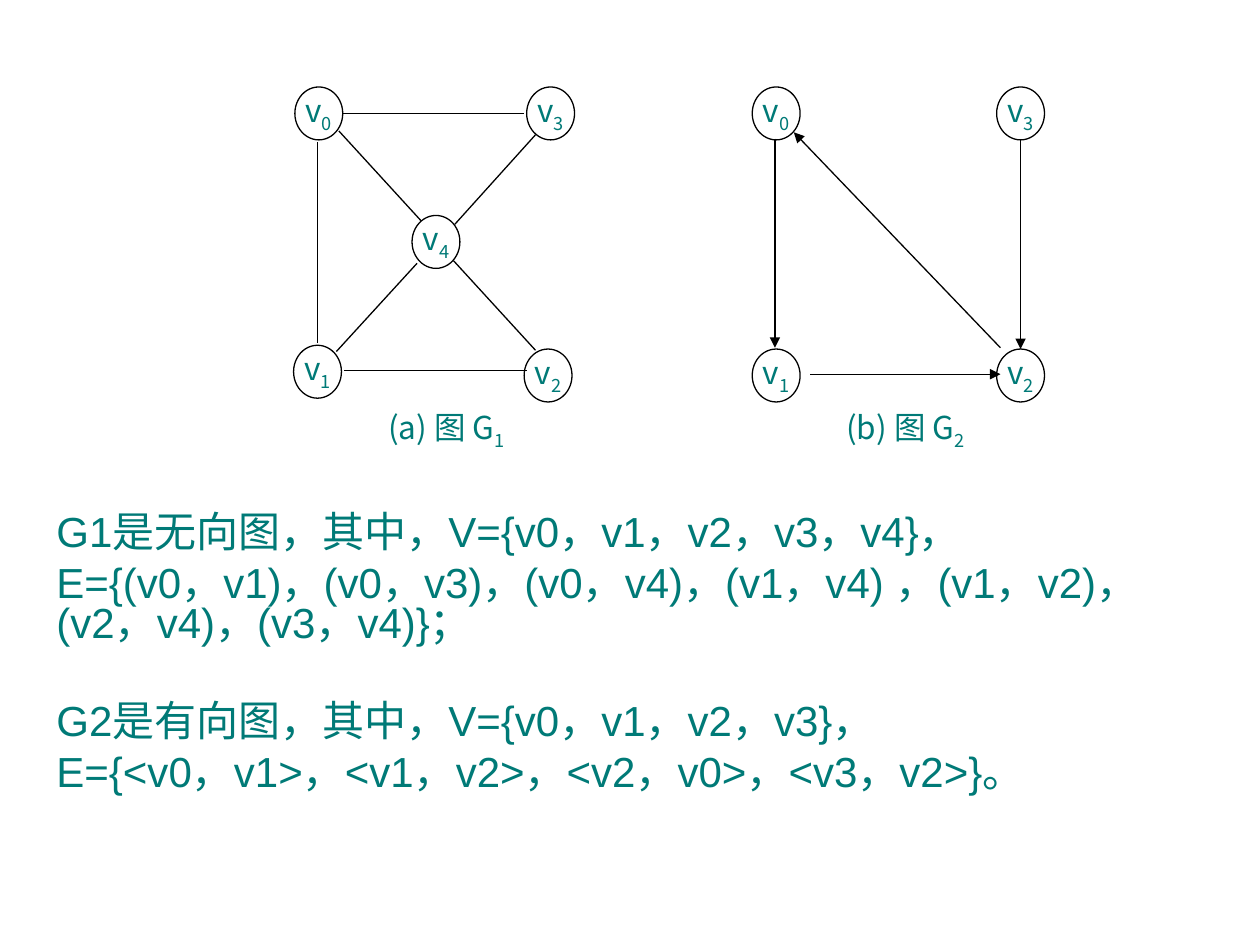
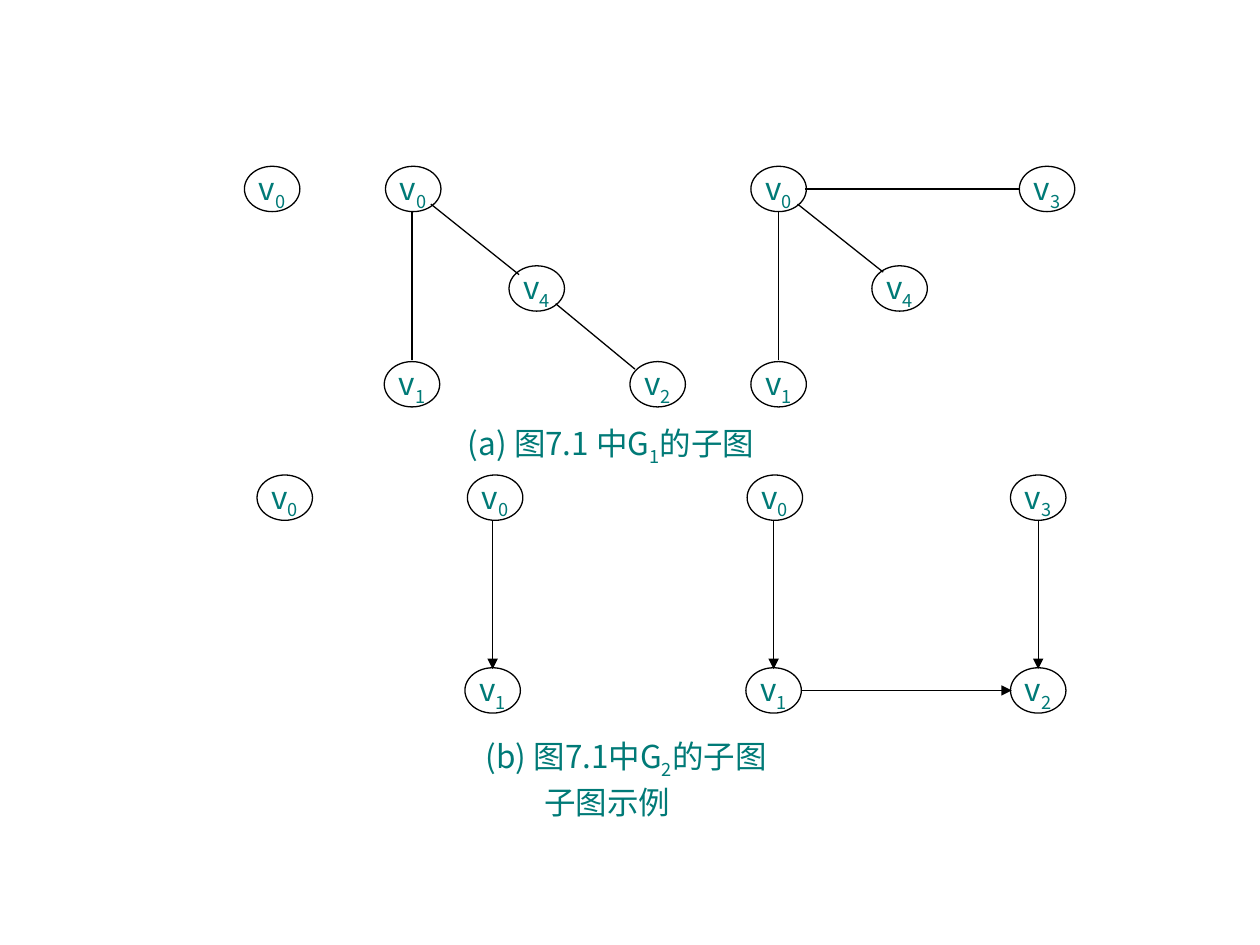
from lxml import etree
from pptx import Presentation
from pptx.dml.color import RGBColor
from pptx.enum import shapes, text
from pptx.oxml import ns
from pptx.util import Inches, Pt

TEAL = RGBColor(0x00, 0x7A, 0x77)
BLACK = RGBColor(0x00, 0x00, 0x00)
WHITE = RGBColor(0xFF, 0xFF, 0xFF)
LABEL_FONT = "Noto Sans CJK SC"
BODY_FONT = "Arial"


class GraphDeck:
    def __init__(self):
        self.deck = Presentation()
        self.deck.slide_width = Inches(10)
        self.deck.slide_height = Inches(7.5)
        self.page = None

    def new_page(self, node_width, node_height):
        self.page = self.deck.slides.add_slide(self.deck.slide_layouts[6])
        self.node_size = node_width, node_height

    def style(self, para, font, size, spacing):
        para.line_spacing = spacing
        para.font.name = font
        para.font.size = Pt(size)
        para.font.color.rgb = TEAL

    def label(self, kind, place, parts, line, spacing=0.8):
        box = self.page.shapes.add_shape(kind, *map(Inches, place))
        box.shadow.inherit = False
        box.fill.solid()
        box.fill.fore_color.rgb = WHITE
        box.line.color.rgb = line
        box.line.width = Pt(0.75)
        frame = box.text_frame
        frame.margin_left = frame.margin_right = 0
        frame.margin_top = frame.margin_bottom = 0
        frame.vertical_anchor = text.MSO_ANCHOR.TOP
        frame.word_wrap = kind == shapes.MSO_SHAPE.RECTANGLE
        para = frame.paragraphs[0]
        para.alignment = text.PP_ALIGN.CENTER
        self.style(para, LABEL_FONT, 18, spacing)
        for index, part in enumerate(parts):
            span = para.add_run()
            span.text = part
            if index == 1:
                span.font._element.set("baseline", "-25000")

    def nodes(self, places):
        for number, left, top in places:
            self.label(shapes.MSO_SHAPE.OVAL, (left, top, *self.node_size),
                       ("v", str(number)), BLACK)

    def caption(self, place, *parts, spacing=0.8):
        self.label(shapes.MSO_SHAPE.RECTANGLE, place, parts, WHITE, spacing)

    def edges(self, ends, directed=False):
        for place in ends:
            edge = self.page.shapes.add_connector(
                shapes.MSO_CONNECTOR.STRAIGHT, *map(Inches, place))
            edge.line.color.rgb = BLACK
            edge.line.width = Pt(0.75)
            if directed:
                line = edge.line._get_or_add_ln()
                etree.SubElement(line, ns.qn("a:tailEnd"), type="triangle")
            etree.SubElement(edge._element.spPr, ns.qn("a:effectLst"))

    def body(self, place, lines):
        box = self.page.shapes.add_textbox(*map(Inches, place))
        frame = box.text_frame
        frame.word_wrap = True
        for index, (gap, words) in enumerate(lines):
            para = frame.add_paragraph() if index else frame.paragraphs[0]
            para.text = words
            para.space_before = Pt(gap)
            self.style(para, BODY_FONT, 24, 0.8)

    def graphs_page(self):
        self.new_page(0.38, 0.42)
        self.body((0.35, 4.04, 9.34, 2.64), [
            (0, "G1是无向图，其中，V={v0，v1，v2，v3，v4}，"),
            (6, "E={(v0，v1)，(v0，v3)，(v0，v4)，(v1，v4) ，"
                "(v1，v2)，(v2，v4)，(v3，v4)}；"),
            (33, "G2是有向图，其中，V={v0，v1，v2，v3}，"),
            (6, "E={<v0，v1>，<v1，v2>，<v2，v0>，<v3，v2>}。"),
        ])
        self.caption((2.58, 3.24, 1.93, 0.59), "(a) 图 G", "1", spacing=1.0)
        self.caption((6.22, 3.24, 1.93, 0.59), "(b) 图 G", "2", spacing=1.0)
        self.nodes([(0, 2.34, 0.69), (3, 4.18, 0.69), (4, 3.27, 1.71),
                    (1, 2.33, 2.74), (2, 4.16, 2.77)])
        self.edges([(2.72, 0.9, 4.16, 0.9), (2.52, 1.13, 2.52, 2.72),
                    (4.25, 1.07, 3.61, 1.78), (3.6, 2.07, 4.25, 2.78),
                    (2.73, 2.94, 4.18, 2.94), (3.31, 2.09, 2.67, 2.79),
                    (2.69, 1.04, 3.34, 1.75)])
        self.nodes([(0, 5.97, 0.69), (3, 7.91, 0.69),
                    (1, 5.97, 2.77), (2, 7.91, 2.77)])
        self.edges([(6.43, 2.97, 7.94, 2.97), (6.15, 1.1, 6.15, 2.76),
                    (7.94, 2.76, 6.3, 1.05), (8.1, 1.11, 8.1, 2.77)],
                   directed=True)

    def subgraphs_page(self):
        self.new_page(0.44, 0.36)
        self.caption((3.05, 3.4, 3.6, 0.29), "(a) 图7.1 中G", "1", "的子图")
        self.nodes([(0, 1.94, 1.32),
                    (0, 3.06, 1.32), (4, 4.04, 2.11),
                    (1, 3.05, 2.87), (2, 5, 2.87),
                    (0, 5.96, 1.32), (3, 8.09, 1.32),
                    (4, 6.92, 2.11), (1, 5.96, 2.87)])
        self.edges([(3.27, 1.68, 3.27, 2.86), (3.42, 1.62, 4.12, 2.18),
                    (4.41, 2.41, 5.04, 2.93), (6.39, 1.5, 8.09, 1.5),
                    (6.18, 1.68, 6.18, 2.86), (6.33, 1.62, 7.01, 2.16)])
        self.nodes([(0, 2.04, 3.77),
                    (0, 3.71, 3.77), (1, 3.69, 5.3),
                    (0, 5.93, 3.77), (3, 8.02, 3.77),
                    (1, 5.92, 5.3), (2, 8.02, 5.3)])
        self.edges([(left, 4.13, left, 5.31) for left in (3.91, 6.14, 8.24)]
                   + [(6.36, 5.48, 8.03, 5.48)], directed=True)
        self.caption((3.17, 5.88, 3.6, 0.39), "(b) 图7.1中G", "2", "的子图")
        self.caption((3.43, 6.27, 2.78, 0.38), "子图示例")


def main():
    graph_deck = GraphDeck()
    graph_deck.graphs_page()
    graph_deck.subgraphs_page()
    graph_deck.deck.save("out.pptx")


if __name__ == "__main__":
    main()
